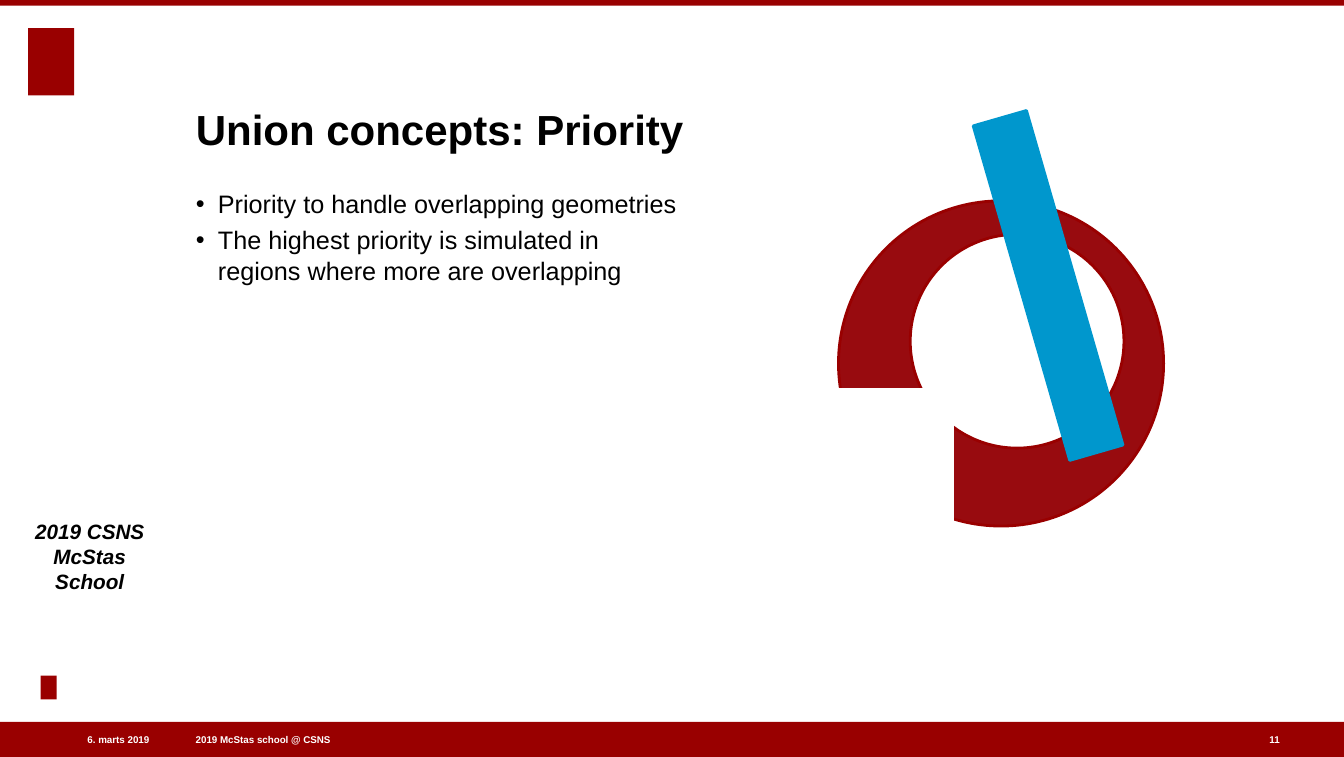
from lxml.etree import SubElement
from pptx import Presentation
from pptx.dml.color import RGBColor
from pptx.enum.shapes import MSO_SHAPE
from pptx.enum.text import MSO_ANCHOR, PP_ALIGN
from pptx.oxml.ns import qn
from pptx.util import Pt

SLIDE_WIDTH, SLIDE_HEIGHT = 959, 540
DTU_RED, RING_RED, BEAM_BLUE = "990000", "980B0F", "0097CD"
WHITE, BLACK = "FFFFFF", "000000"


def color(hex_string):
    return RGBColor.from_string(hex_string)


def add_area(slide, kind, left, top, width, height, fill, line=None, rotation=0):
    area = slide.shapes.add_shape(kind, Pt(left), Pt(top), Pt(width), Pt(height))
    area.shadow.inherit = False
    area.fill.solid()
    area.fill.fore_color.rgb = color(fill)
    if line:
        area.line.color.rgb = color(line)
        area.line.width = Pt(2)
    else:
        area.line.fill.background()
    area.rotation = rotation


def add_bullet(paragraph, indent):
    properties = paragraph._p.get_or_add_pPr()
    properties.set("marL", str(Pt(indent)))
    properties.set("indent", str(-Pt(indent)))
    SubElement(properties, qn("a:buFont")).set("typeface", "Arial")
    SubElement(properties, qn("a:buChar")).set("char", "•")


def add_text(slide, text, left, top, width, height, size, ink=BLACK, bold=True,
             italic=False, align=PP_ALIGN.LEFT, anchor=MSO_ANCHOR.MIDDLE,
             wrap=True, bulleted=False):
    box = slide.shapes.add_textbox(Pt(left), Pt(top), Pt(width), Pt(height))
    frame = box.text_frame
    frame.margin_left = frame.margin_right = 0
    frame.margin_top = frame.margin_bottom = 0
    frame.word_wrap = wrap
    frame.vertical_anchor = anchor
    frame.text = text
    for index, paragraph in enumerate(frame.paragraphs):
        paragraph.alignment = align
        if index:
            paragraph.space_before = Pt(4)
        if bulleted:
            add_bullet(paragraph, 15.8)
        for run in paragraph.runs:
            run.font.name = "Arial"
            run.font.size = Pt(size)
            run.font.bold = bold
            run.font.italic = italic
            run.font.color.rgb = color(ink)


def add_frame(slide):
    add_area(slide, MSO_SHAPE.RECTANGLE, 0, 0, SLIDE_WIDTH, 4, DTU_RED)
    add_area(slide, MSO_SHAPE.RECTANGLE, 0, 515, SLIDE_WIDTH, 25, DTU_RED)
    add_area(slide, MSO_SHAPE.RECTANGLE, 20, 20, 33, 48, DTU_RED)
    add_area(slide, MSO_SHAPE.RECTANGLE, 29, 482, 11.5, 17, DTU_RED)
    add_text(slide, "2019 CSNS\vMcStas School", 24.5, 366.5, 79, 57, 14.8,
             italic=True, align=PP_ALIGN.CENTER, anchor=MSO_ANCHOR.BOTTOM)
    add_text(slide, "6. marts 2019", 19.5, 522.7, 87, 10, 7, WHITE,
             align=PP_ALIGN.RIGHT)
    add_text(slide, "2019 McStas school @ CSNS", 139.7, 522.7, 268, 10, 7, WHITE)
    add_text(slide, "11", 905.8, 522.7, 10, 10, 7, WHITE, wrap=False)


def add_overlapping_geometries(slide):
    add_area(slide, MSO_SHAPE.OVAL, 598.3, 143.3, 232, 232, RING_RED, DTU_RED)
    add_area(slide, MSO_SHAPE.OVAL, 649.5, 167.2, 152.5, 152.5, WHITE, DTU_RED)
    add_area(slide, MSO_SHAPE.RECTANGLE, 623.7, 183.8, 248.4, 39.6,
             BEAM_BLUE, BEAM_BLUE, 253.9)
    add_area(slide, MSO_SHAPE.RECTANGLE, 582.5, 278, 97.2, 110.9, WHITE, WHITE)


def main():
    presentation = Presentation()
    presentation.slide_width = Pt(SLIDE_WIDTH)
    presentation.slide_height = Pt(SLIDE_HEIGHT)
    slide = presentation.slides.add_slide(presentation.slide_layouts[6])
    add_frame(slide)
    add_text(slide, "Union concepts: Priority", 139.7, 33.8, 733, 76.3, 30,
             anchor=MSO_ANCHOR.BOTTOM)
    concepts = [
        "Priority to handle overlapping geometries",
        "The highest priority is simulated in regions where more are overlapping",
    ]
    add_text(slide, "\n".join(concepts), 139.7, 134.6, 347, 358, 18, bold=False,
             anchor=MSO_ANCHOR.TOP, bulleted=True)
    add_overlapping_geometries(slide)
    presentation.save("out.pptx")


if __name__ == "__main__":
    main()
